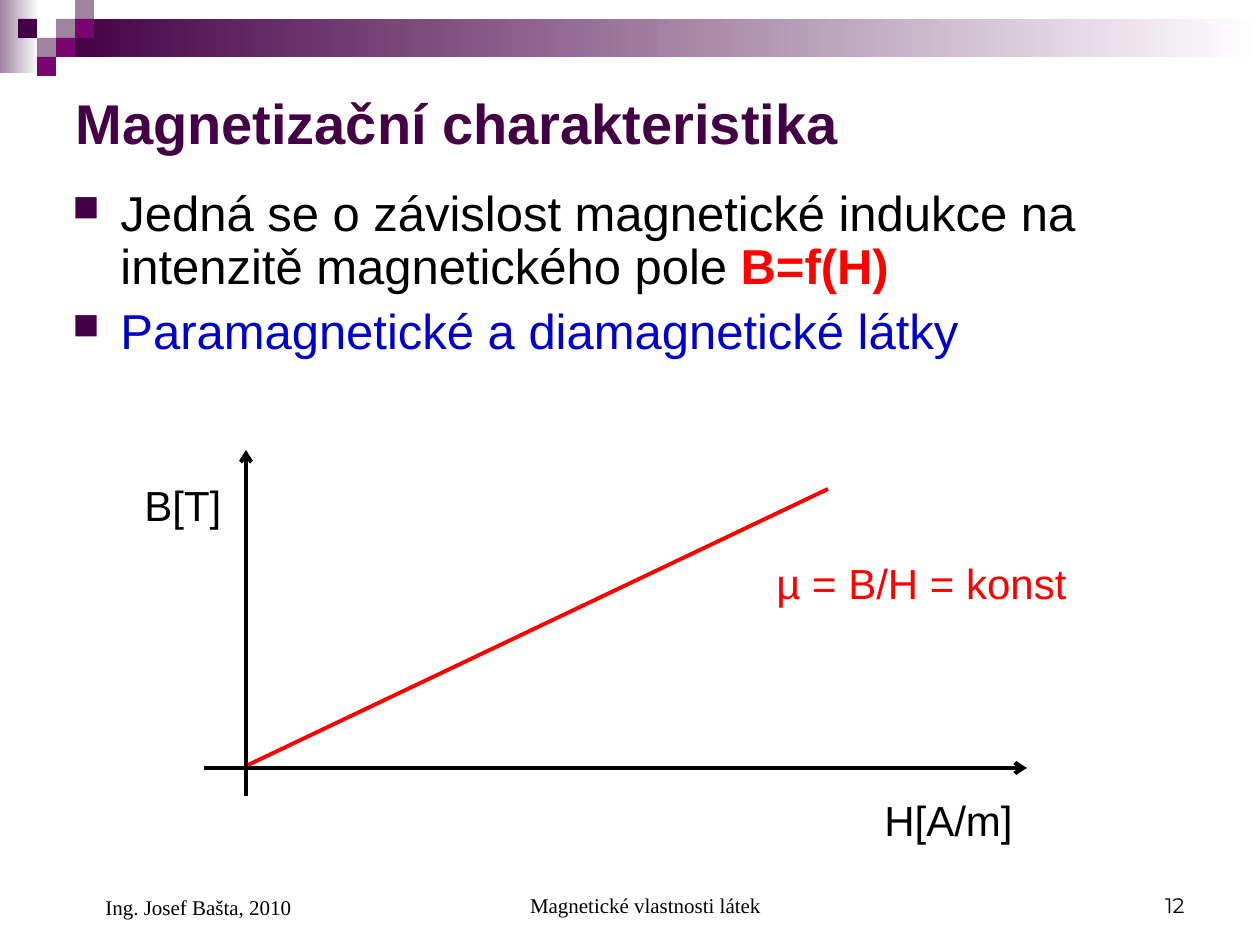
from lxml import etree
from pptx import Presentation
from pptx.dml.color import RGBColor
from pptx.enum.shapes import MSO_CONNECTOR, MSO_SHAPE
from pptx.enum.text import MSO_ANCHOR, PP_ALIGN
from pptx.oxml.ns import qn
from pptx.util import Emu, Pt

LEFT, CENTER, RIGHT = PP_ALIGN.LEFT, PP_ALIGN.CENTER, PP_ALIGN.RIGHT
TOP, MIDDLE, BOTTOM = MSO_ANCHOR.TOP, MSO_ANCHOR.MIDDLE, MSO_ANCHOR.BOTTOM
RECTANGLE, STRAIGHT = MSO_SHAPE.RECTANGLE, MSO_CONNECTOR.STRAIGHT
SCALE = 914400 / 126
THEME = {
    "plum": RGBColor(0x44, 0x00, 0x44),
    "mauve": RGBColor(0x9F, 0x83, 0x9F),
    "magenta": RGBColor(0x79, 0x05, 0x71),
    "white": RGBColor(0xFF, 0xFF, 0xFF),
    "black": RGBColor(0x00, 0x00, 0x00),
    "red": RGBColor(0xFF, 0x00, 0x00),
    "blue": RGBColor(0x00, 0x00, 0xCC),
    "sans": "Arial",
    "serif": "Times New Roman",
    "number": "Montserrat",
    "title": Pt(32),
    "body": Pt(28),
    "label": Pt(24),
    "footer": Pt(12),
    "line": Pt(2.25),
}


def px(*lengths):
    return [Emu(round(length * SCALE)) for length in lengths]


def add_text(box, paragraphs, size, font="sans", align=LEFT, anchor=TOP, indent=0, hanging=0, wrap=True, paragraph_format=None):
    text_frame = slide.shapes.add_textbox(*px(*box)).text_frame
    text_frame.word_wrap = wrap
    text_frame.vertical_anchor = anchor
    for index, runs in enumerate(paragraphs):
        paragraph = text_frame.paragraphs[0] if index == 0 else text_frame.add_paragraph()
        properties = paragraph._p.get_or_add_pPr()
        properties.set("marL", str(px(indent)[0]))
        properties.set("indent", str(-px(hanging)[0]))
        if hanging:
            bullet_color = etree.SubElement(properties, qn("a:buClr"))
            etree.SubElement(bullet_color, qn("a:srgbClr"), val=str(THEME["plum"]))
            etree.SubElement(properties, qn("a:buSzPct"), val="75000")
            etree.SubElement(properties, qn("a:buChar"), char="■")
        paragraph.alignment = align
        for name, value in (paragraph_format or {}).items():
            if index or name != "space_before":
                setattr(paragraph, name, value)
        for text, color, bold in runs:
            run = paragraph.add_run()
            run.text = text
            run.font.color.rgb = THEME[color]
            for name, value in {"name": THEME[font], "size": THEME[size], "bold": bold}.items():
                setattr(run.font, name, value)


presentation = Presentation()
presentation.slide_width, presentation.slide_height = px(1260, 945)
slide = presentation.slides.add_slide(presentation.slide_layouts[6])

CELL = 19
squares = [
    (3, 1, "mauve"),
    (4, 0, "mauve"),
    (4, 1, "magenta"),
    (2, 2, "mauve"),
    (1, 1, "plum"),
    (3, 2, "magenta"),
    (2, 3, "magenta"),
]
blocks = [((0, 0, 39, 73), "mauve", True), ((57, CELL, 1203, 38), "plum", True)]
blocks += [((column * CELL - 1, row * CELL, CELL, CELL), color, False) for column, row, color in squares]
for box, color, fades in blocks:
    shape = slide.shapes.add_shape(RECTANGLE, *px(*box))
    shape.shadow.inherit = False
    shape.line.fill.background()
    if fades:
        shape.fill.gradient()
        shape.fill.gradient_angle = 0
        for stop, stop_color in zip(shape.fill.gradient_stops, (color, "white")):
            stop.color.rgb = THEME[stop_color]
    else:
        shape.fill.solid()
        shape.fill.fore_color.rgb = THEME[color]

add_text((63, 63, 1134, 118), [[("Magnetizační charakteristika", "plum", True)]], "title", anchor=MIDDLE)
add_text(
    (60, 183, 1130, 186),
    [
        [
            ("Jedná se o závislost magnetické indukce na intenzitě magnetického pole ", "black", False),
            ("B=f(H)", "red", True),
        ],
        [("Paramagnetické a diamagnetické látky", "blue", False)],
    ],
    "body",
    indent=48,
    hanging=48,
    paragraph_format={"line_spacing": 0.9, "space_before": Pt(7)},
)

for ends, color, has_arrow in [
    ((204, 768, 1027, 768), "black", True),
    ((246, 796, 246, 450), "black", True),
    ((248, 765, 828, 489), "red", False),
]:
    connector = slide.shapes.add_connector(STRAIGHT, *px(*ends))
    connector.line.color.rgb = THEME[color]
    connector.line.width = THEME["line"]
    if has_arrow:
        etree.SubElement(connector.line._get_or_add_ln(), qn("a:tailEnd"), type="arrow")
    etree.SubElement(connector._element.spPr, qn("a:effectLst"))

for box, text, color in [
    ((872, 788, 198, 63), "H[A/m]", "black"),
    ((132, 473, 117, 63), "B[T]", "black"),
    ((764, 551, 378, 63), "µ = B/H = konst", "red"),
]:
    add_text(box, [[(text, color, False)]], "label")

for box, text, font, align, indent in [
    ((431, 861, 399, 63), "Magnetické vlastnosti látek", "serif", CENTER, 30),
    ((903, 861, 294, 63), "12", "number", RIGHT, 0),
    ((63, 861, 294, 65), "Ing. Josef Bašta, 2010", "serif", LEFT, 30),
]:
    add_text(box, [[(text, "black", False)]], "footer", font, align, BOTTOM, indent)

presentation.save("out.pptx")
